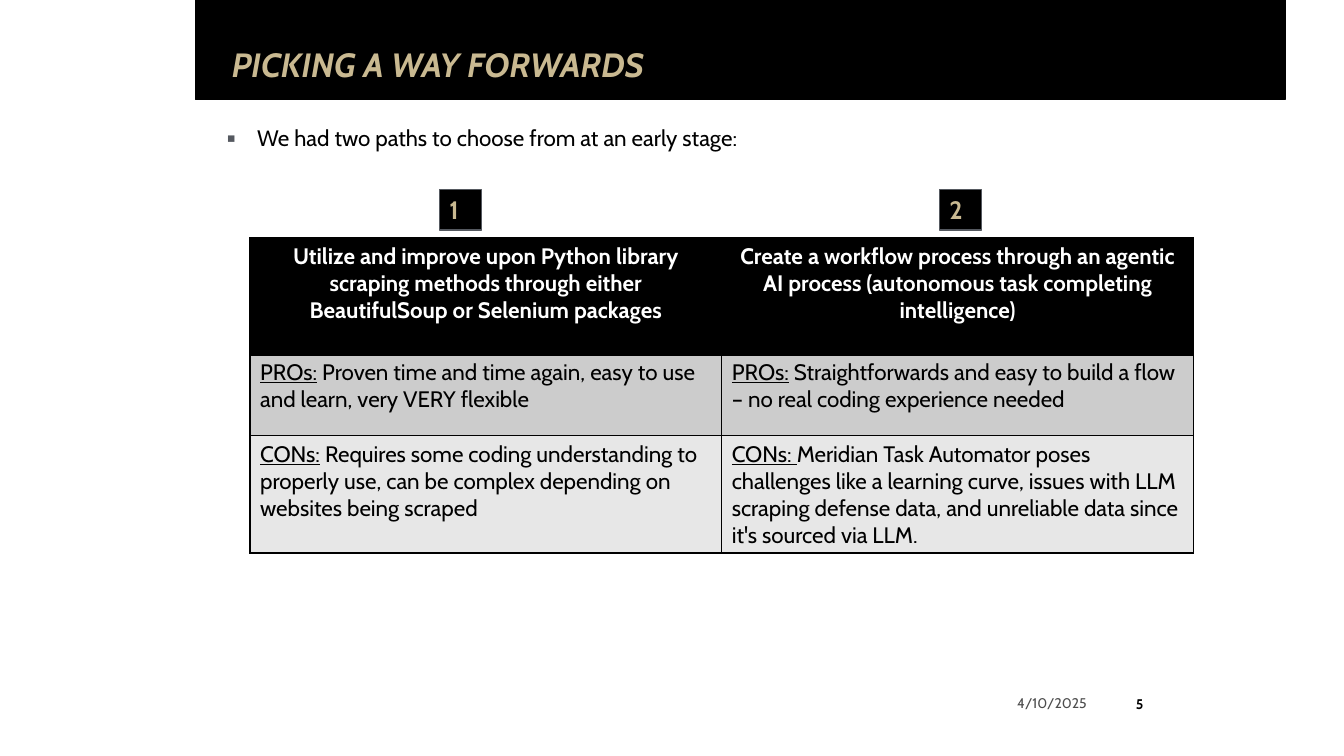
from dataclasses import dataclass

from lxml.etree import SubElement
from pptx import Presentation
from pptx.dml.color import RGBColor
from pptx.enum.shapes import MSO_SHAPE as Shape
from pptx.enum.text import MSO_ANCHOR as Anchor, PP_ALIGN as Align
from pptx.oxml.ns import qn
from pptx.util import Pt

FONT = "Cabin"
BLACK, WHITE, GOLD, GREY = "000000", "FFFFFF", "C9B991", "555960"


@dataclass(frozen=True)
class Style:
    size: float = 16
    color: str = BLACK
    bold: bool = False
    italic: bool = False


@dataclass(frozen=True)
class Box:
    left: float
    top: float
    width: float
    height: float

    def lengths(self) -> list[Pt]:
        return [Pt(v) for v in (self.left, self.top, self.width, self.height)]


@dataclass(frozen=True)
class Option:
    number: str
    badge_left: float
    summary: str
    pros: tuple[str, str]
    cons: tuple[str, str]


OPTIONS = [
    Option("1", 313.9,
           "Utilize and improve upon Python library scraping methods through "
           "either BeautifulSoup or Selenium packages",
           ("PROs:", " Proven time and time again, easy to use and learn, very VERY flexible"),
           ("CONs:", " Requires some coding understanding to properly use, can be "
                     "complex depending on websites being scraped")),
    Option("2", 671,
           "Create a workflow process through an agentic AI process "
           "(autonomous task completing intelligence)",
           ("PROs:", " Straightforwards and easy to build a flow – no real coding "
                     "experience needed"),
           ("CONs: ", "Meridian Task Automator poses challenges like a learning curve, "
                      "issues with LLM scraping defense data, and unreliable data since "
                      "it's sourced via LLM.")),
]


def rgb(color: str) -> RGBColor:
    return RGBColor.from_string(color)


def add_run(p, text: str, style: Style, underline: bool = False) -> None:
    r = p.add_run()
    r.text = text
    f = r.font
    f.name, f.size, f.color.rgb = FONT, Pt(style.size), rgb(style.color)
    f.bold, f.italic, f.underline = style.bold, style.italic, underline


def set_margins(tf, side: float, top: float) -> None:
    tf.margin_left = tf.margin_right = Pt(side)
    tf.margin_top = tf.margin_bottom = Pt(top)


def add_text(box: Box, text: str, style: Style, align=Align.LEFT,
             anchor=Anchor.TOP, inset: bool = False):
    tf = slide.shapes.add_textbox(*box.lengths()).text_frame
    tf.word_wrap = True
    tf.vertical_anchor = anchor
    if not inset:
        set_margins(tf, 0, 0)
    p = tf.paragraphs[0]
    p.alignment = align
    add_run(p, text, style)
    return p


def add_shape(kind, box: Box, fill: str | None, line: str | None):
    sp = slide.shapes.add_shape(kind, *box.lengths())
    sp.shadow.inherit = False
    if fill:
        sp.fill.solid()
        sp.fill.fore_color.rgb = rgb(fill)
    else:
        sp.fill.background()
    if line:
        sp.line.color.rgb = rgb(line)
        sp.line.width = Pt(1)
    else:
        sp.line.fill.background()
    return sp


def style_cell(cell, fill: str, top: float, bottom: float) -> None:
    tc_pr = cell._tc.get_or_add_tcPr()
    for side, width in {"L": 1, "R": 1, "T": top, "B": bottom}.items():
        ln = SubElement(tc_pr, qn(f"a:ln{side}"), w=str(Pt(width)))
        SubElement(SubElement(ln, qn("a:solidFill")), qn("a:srgbClr"), val=BLACK)
    cell.fill.solid()
    cell.fill.fore_color.rgb = rgb(fill)


def add_bullet(p, char: str, indent: float) -> None:
    p_pr = p._p.get_or_add_pPr()
    p_pr.set("marL", str(Pt(indent)))
    p_pr.set("indent", str(-Pt(indent)))
    SubElement(SubElement(p_pr, qn("a:buClr")), qn("a:srgbClr"), val=GREY)
    SubElement(p_pr, qn("a:buFont"), typeface=FONT)
    SubElement(p_pr, qn("a:buChar"), char=char)


prs = Presentation()
prs.slide_width, prs.slide_height = Pt(960), Pt(540)
slide = prs.slides.add_slide(prs.slide_layouts[6])

# Title band
add_shape(Shape.RECTANGLE, Box(139.7, 0, 778.3, 71.3), BLACK, BLACK)
title = add_text(Box(165.6, 34.6, 629.3, 25.9), "PICKING A WAY FORWARDS",
                 Style(24, GOLD, bold=True, italic=True))
title.line_spacing = 0.9

# Lead-in bullet
lead = add_text(Box(162, 88.6, 654.5, 29.5),
                "We had two paths to choose from at an early stage:", Style())
add_bullet(lead, "▪", 21.6)

# Comparison table
table = slide.shapes.add_table(3, len(OPTIONS), *Box(178.6, 170, 673.9, 224.6).lengths()).table
for column in table.columns:
    column.width = Pt(336.95)
for row, height in zip(table.rows, (82.8, 58.3, 82.8)):
    row.height = Pt(height)

for col, option in enumerate(OPTIONS):
    header = table.cell(0, col)
    style_cell(header, BLACK, 1, 3)
    p = header.text_frame.paragraphs[0]
    p.alignment = Align.CENTER
    add_run(p, option.summary, Style(color=WHITE, bold=True))

    for row, (fill, (label, text)) in enumerate(
            [("CCCCCC", option.pros), ("E7E7E7", option.cons)], start=1):
        cell = table.cell(row, col)
        style_cell(cell, fill, 3 if row == 1 else 1, 1)
        p = cell.text_frame.paragraphs[0]
        add_run(p, label, Style(), underline=True)
        add_run(p, text, Style())

    # Number badge above the column
    badge = add_shape(Shape.RECTANGLE, Box(option.badge_left, 135.4, 30.2, 28.8), BLACK, GREY)
    p = badge.text_frame.paragraphs[0]
    p.alignment = Align.LEFT
    add_run(p, option.number, Style(18, GOLD, bold=True))

# Footer: date and slide number
add_text(Box(702.7, 489.6, 80.6, 25.2), "4/10/2025", Style(10, "4D4D4D"),
         Align.RIGHT, Anchor.MIDDLE, inset=True)
number = add_shape(Shape.OVAL, Box(794.9, 488.2, 38.2, 28.8), None, None)
set_margins(number.text_frame, 1.4, 3.6)
p = number.text_frame.paragraphs[0]
p.alignment = Align.CENTER
add_run(p, "5", Style(10, bold=True))

prs.save("out.pptx")
